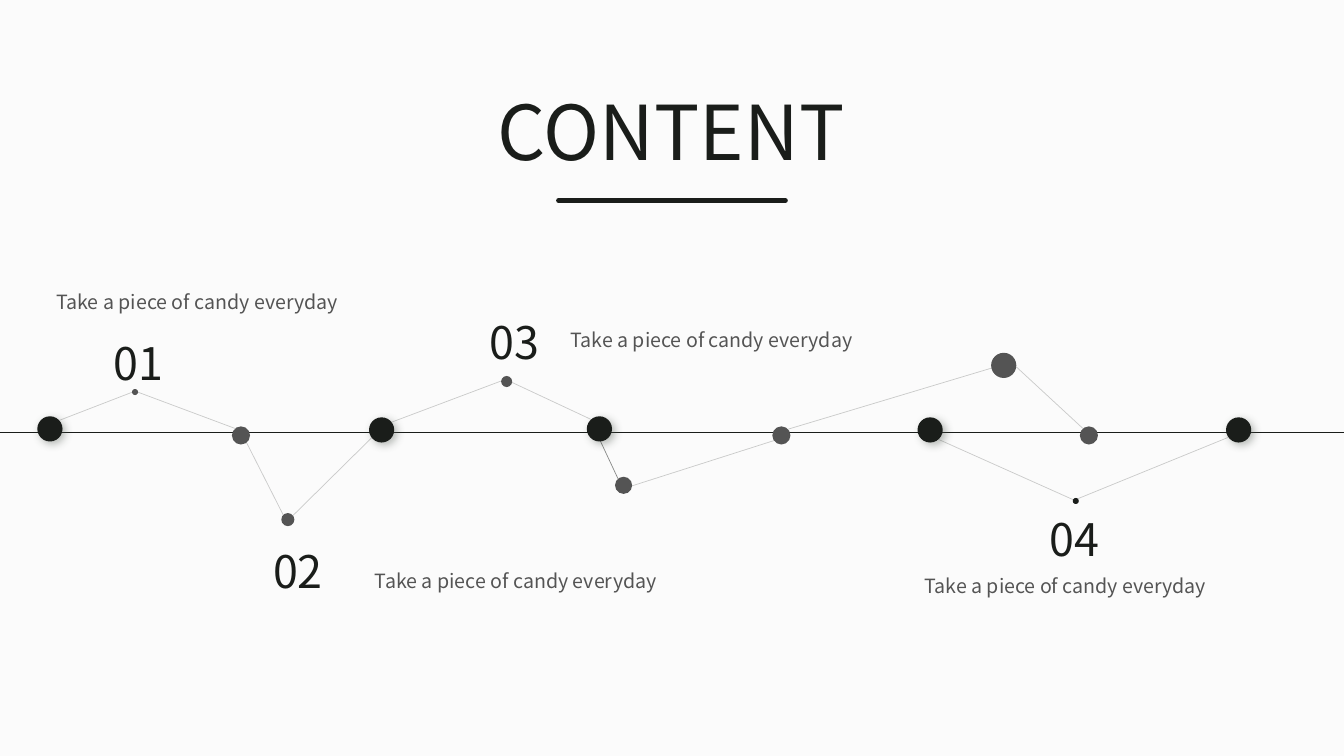
from lxml import etree
from pptx import Presentation
from pptx import util as u
from pptx.dml.color import RGBColor
from pptx.enum import shapes, text
from pptx.oxml import parse_xml
from pptx.oxml.ns import nsdecls, qn

PAPER = RGBColor(0xFB, 0xFB, 0xFB)
INK = RGBColor(0x1A, 0x1D, 0x1A)
GREY = RGBColor(0x54, 0x54, 0x54)
FONT = "Noto Sans CJK SC"
CAPTION = "Take a piece of candy everyday"
SHADOW = (
    f'<a:effectLst {nsdecls("a")}>'
    '<a:outerShdw blurRad="76200" dist="38100" dir="2700000" algn="tl" rotWithShape="0">'
    '<a:srgbClr val="505950"><a:alpha val="40000"/></a:srgbClr>'
    '</a:outerShdw></a:effectLst>'
)


class Timeline:
    """Holds the slide and draws its elements in one style."""

    def __init__(self, slide):
        self.slide = slide
        slide.background.fill.solid()
        slide.background.fill.fore_color.rgb = PAPER

    def label(self, wording, left, top, width, height, size, color=INK,
              align=text.PP_ALIGN.LEFT, wrap=True):
        box = self.slide.shapes.add_textbox(
            *map(u.Inches, (left, top, width, height)))
        frame = box.text_frame
        frame.word_wrap = wrap
        frame.auto_size = text.MSO_AUTO_SIZE.SHAPE_TO_FIT_TEXT
        para = frame.paragraphs[0]
        para.text = wording
        para.alignment = align
        para.font.name = FONT
        para.font.size = u.Pt(size)
        para.font.color.rgb = color

    def line(self, start, end, weight=0.5, opacity=100, rounded=False):
        link = self.slide.shapes.add_connector(
            shapes.MSO_CONNECTOR.STRAIGHT, *map(u.Inches, (*start, *end)))
        link.line.width = u.Pt(weight)
        link.line.color.rgb = INK
        properties = link._element.spPr
        outline = properties.find(qn("a:ln"))
        if rounded:
            outline.set("cap", "rnd")
        if opacity < 100:
            color = outline.find(".//" + qn("a:srgbClr"))
            etree.SubElement(color, qn("a:alpha")).set("val", str(opacity * 1000))
        etree.SubElement(properties, qn("a:effectLst"))

    def dot(self, left, top, size, color=GREY, shadow=False):
        circle = self.slide.shapes.add_shape(
            shapes.MSO_SHAPE.OVAL, *map(u.Inches, (left, top, size, size)))
        circle.fill.solid()
        circle.fill.fore_color.rgb = color
        circle.line.fill.background()
        if shadow:
            circle._element.spPr.append(parse_xml(SHADOW))
        else:
            circle.shadow.inherit = False


def main():
    deck = Presentation()
    deck.slide_width, deck.slide_height = u.Inches(13.33), u.Inches(7.5)
    page = Timeline(deck.slides.add_slide(deck.slide_layouts[6]))

    # Title with its rule
    page.label("CONTENT", 4.84, 0.79, 3.65, 1.01, 54, wrap=False)
    page.line((5.54, 1.99), (7.79, 1.99), 3.5, rounded=True)

    # Axis and the dots along it
    page.line((0, 4.29), (13.33, 4.29), 0.75)
    for left in (2.3, 7.66, 10.71):
        page.dot(left, 4.23, 0.18)
    for left, top in ((0.37, 4.13), (3.66, 4.14), (5.82, 4.13),
                      (9.1, 4.14), (12.16, 4.14)):
        page.dot(left, top, 0.25, INK, shadow=True)

    # Faint links between the dots
    for start, end in (
        ((0.59, 4.17), (1.34, 3.88)), ((1.34, 3.88), (2.33, 4.25)),
        ((2.44, 4.38), (2.81, 5.11)), ((2.9, 5.12), (3.69, 4.34)),
        ((3.88, 4.19), (4.97, 3.78)), ((5.86, 4.16), (5.07, 3.79)),
        ((7.68, 4.37), (6.27, 4.82)), ((9.84, 3.65), (7.81, 4.26)),
        ((10.74, 4.25), (10.08, 3.64)), ((10.65, 4.96), (9.31, 4.36)),
        ((12.18, 4.34), (10.66, 4.96)),
    ):
        page.line(start, end, opacity=21)
    page.line((5.91, 4.28), (6.13, 4.75), opacity=51)

    # Dots above and below the axis
    for left, top, size, color in (
        (1.31, 3.86, 0.06, GREY), (2.79, 5.09, 0.13, GREY),
        (4.97, 3.73, 0.11, GREY), (6.1, 4.73, 0.17, GREY),
        (9.83, 3.5, 0.25, GREY), (10.64, 4.94, 0.06, INK),
    ):
        page.dot(left, top, size, color)

    # Numbers and captions
    entries = (
        ((0.41, 3.28), (0.46, 2.83)), ((1.99, 5.34), (3.62, 5.59)),
        ((4.14, 3.07), (5.56, 3.2)), ((9.69, 5.03), (9.07, 5.64)),
    )
    for number, (number_at, caption_at) in enumerate(entries, 1):
        page.label(f"{number:02}", *number_at, 1.93, 0.64, 32,
                   align=text.PP_ALIGN.CENTER)
        page.label(CAPTION, *caption_at, 3.29, 0.34, 14, GREY)

    deck.save("out.pptx")


if __name__ == "__main__":
    main()
